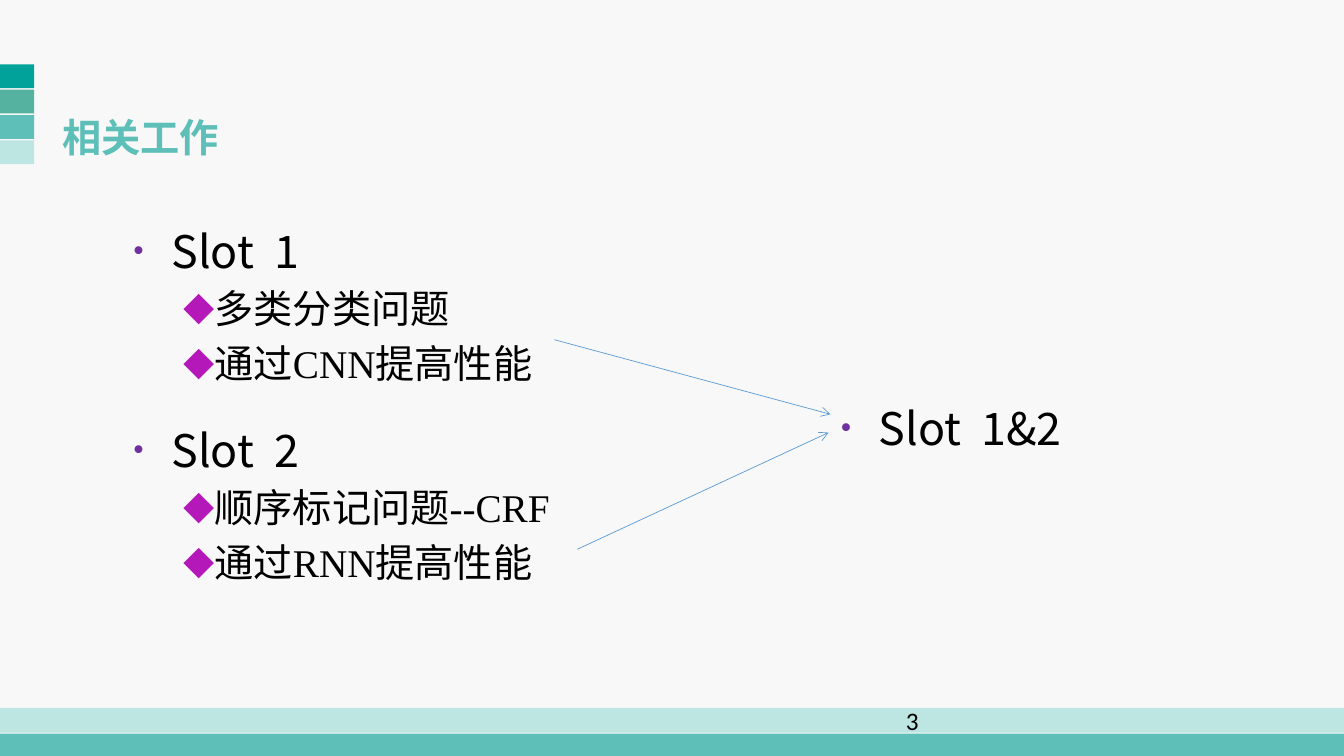
import pptx
import pptx.util
import pptx.dml.color
import pptx.enum.shapes
import pptx.enum.text
import pptx.oxml.ns
from lxml import etree
from dataclasses import dataclass

Cm = pptx.util.Cm
Pt = pptx.util.Pt

# Content: outline entries are (level, text)
TITLE = "相关工作"
PAGE_NUMBER = "3"
SEPARATE_SLOTS = [
    (0, "Slot  1"),
    (1, "多类分类问题"),
    (1, "通过CNN提高性能"),
    (0, "Slot  2"),
    (1, "顺序标记问题--CRF"),
    (1, "通过RNN提高性能"),
]
JOINT_SLOTS = [(0, "Slot  1&2")]

# Places in centimetres: left, top, width, height
TITLE_PLACE = (1.32, 2.99, 19.61, 1.4)
NUMBER_PLACE = (22.58, 17.65, 9.09, 1.02)
OUTLINES = [
    (SEPARATE_SLOTS, (3.1, 4.78, 30.48, 12.57)),
    (JOINT_SLOTS, (20.93, 9.25, 12.5, 2.5)),
]
ARROWS = [(13.97, 8.56, 20.93, 10.44), (14.55, 13.84, 20.88, 10.9)]


@dataclass(frozen=True)
class Theme:
    background: str = "F8F8F8"
    teal: str = "5EBFB8"
    pale: str = "BDE5E2"
    swatches: tuple = ("00A29A", "55B2A0", "5EBFB8", "BDE5E2")
    ink: str = "000000"
    arrow: str = "5B9BD5"
    sans: str = "Noto Sans CJK SC"
    serif: str = "Times New Roman"
    number_font: str = "Calibri"
    title_size: int = 28
    number_size: int = 18


@dataclass(frozen=True)
class Level:
    size: int
    font: str
    line: int
    before: int
    margin: float
    hanging: float
    bullet: str
    bullet_font: str
    bullet_color: str
    bullet_percent: int


THEME = Theme()
LEVELS = [
    Level(32, THEME.sans, 59, 5, 0.97, 0.97, "•", THEME.serif, "7030A0", 73),
    Level(28, THEME.serif, 39, 0, 2.06, 0.79, "◆", THEME.sans, "B418B8", 80),
]


def rgb(color):
    return pptx.dml.color.RGBColor.from_string(color)


def add_tag(parent, tag, **attributes):
    element = etree.SubElement(parent, pptx.oxml.ns.qn(tag))
    for name, value in attributes.items():
        element.set(name, str(value))
    return element


def style_text(para, font, size, color, bold=False):
    for span in para.runs:
        span.font.size = Pt(size)
        span.font.bold = bold
        span.font.color.rgb = rgb(color)
        span.font.name = font
        add_tag(span.font._element, "a:ea", typeface=THEME.sans)


def add_band(page, color, *place):
    band = page.shapes.add_shape(
        pptx.enum.shapes.MSO_SHAPE.RECTANGLE, *map(Cm, place))
    band.shadow.inherit = False
    band.fill.solid()
    band.fill.fore_color.rgb = rgb(color)
    band.line.fill.background()


def add_bullet(para, level):
    properties = para._p.get_or_add_pPr()
    properties.set("marL", str(Cm(level.margin)))
    properties.set("indent", str(-Cm(level.hanging)))
    color = add_tag(properties, "a:buClr")
    add_tag(color, "a:srgbClr", val=level.bullet_color)
    add_tag(properties, "a:buSzPct", val=level.bullet_percent * 1000)
    add_tag(properties, "a:buFont", typeface=level.bullet_font)
    add_tag(properties, "a:buChar", char=level.bullet)


def add_outline(page, entries, place):
    box = page.shapes.add_textbox(*map(Cm, place))
    frame = box.text_frame
    frame.word_wrap = True
    for index, (depth, text) in enumerate(entries):
        level = LEVELS[depth]
        para = frame.add_paragraph() if index else frame.paragraphs[0]
        para.text = text
        para.level = depth
        add_bullet(para, level)
        para.line_spacing = Pt(level.line)
        para.space_before = Pt(level.before if index else 0)
        style_text(para, level.font, level.size, THEME.ink)


def add_arrow(page, ends):
    arrow = page.shapes.add_connector(
        pptx.enum.shapes.MSO_CONNECTOR.STRAIGHT, *map(Cm, ends))
    arrow.line.color.rgb = rgb(THEME.arrow)
    arrow.line.width = Pt(0.5)
    add_tag(arrow.line._get_or_add_ln(), "a:tailEnd", type="arrow")
    add_tag(arrow._element.spPr, "a:effectLst")


def add_title(page):
    title = page.shapes.title
    title.left, title.top, title.width, title.height = map(Cm, TITLE_PLACE)
    frame = title.text_frame
    frame.text = TITLE
    frame.auto_size = pptx.enum.text.MSO_AUTO_SIZE.NONE
    frame.vertical_anchor = pptx.enum.text.MSO_ANCHOR.TOP
    frame.margin_top = 0
    para = frame.paragraphs[0]
    para.alignment = pptx.enum.text.PP_ALIGN.LEFT
    para.line_spacing = 0.9
    para.space_before = Pt(0)
    style_text(para, THEME.sans, THEME.title_size, THEME.teal, bold=True)


def add_number(page):
    box = page.shapes.add_textbox(*map(Cm, NUMBER_PLACE))
    frame = box.text_frame
    frame.word_wrap = True
    frame.vertical_anchor = pptx.enum.text.MSO_ANCHOR.MIDDLE
    frame.text = PAGE_NUMBER
    style_text(frame.paragraphs[0], THEME.number_font, THEME.number_size, THEME.ink)


def main():
    deck = pptx.Presentation()
    deck.slide_width, deck.slide_height = Cm(33.87), Cm(19.05)
    page = deck.slides.add_slide(deck.slide_layouts.get_by_name("Title Only"))
    page.background.fill.solid()
    page.background.fill.fore_color.rgb = rgb(THEME.background)

    # Side swatches and footer bands
    for index, color in enumerate(THEME.swatches):
        add_band(page, color, 0, 1.62 + 0.64 * index, 0.86, 0.6)
    add_band(page, THEME.pale, 0, 17.84, 33.87, 0.62)
    add_band(page, THEME.teal, 0, 18.49, 33.87, 0.56)

    # Title, page number, outlines and the arrows that join them
    add_title(page)
    add_number(page)
    for entries, place in OUTLINES:
        add_outline(page, entries, place)
    for ends in ARROWS:
        add_arrow(page, ends)

    deck.save("out.pptx")


if __name__ == "__main__":
    main()
